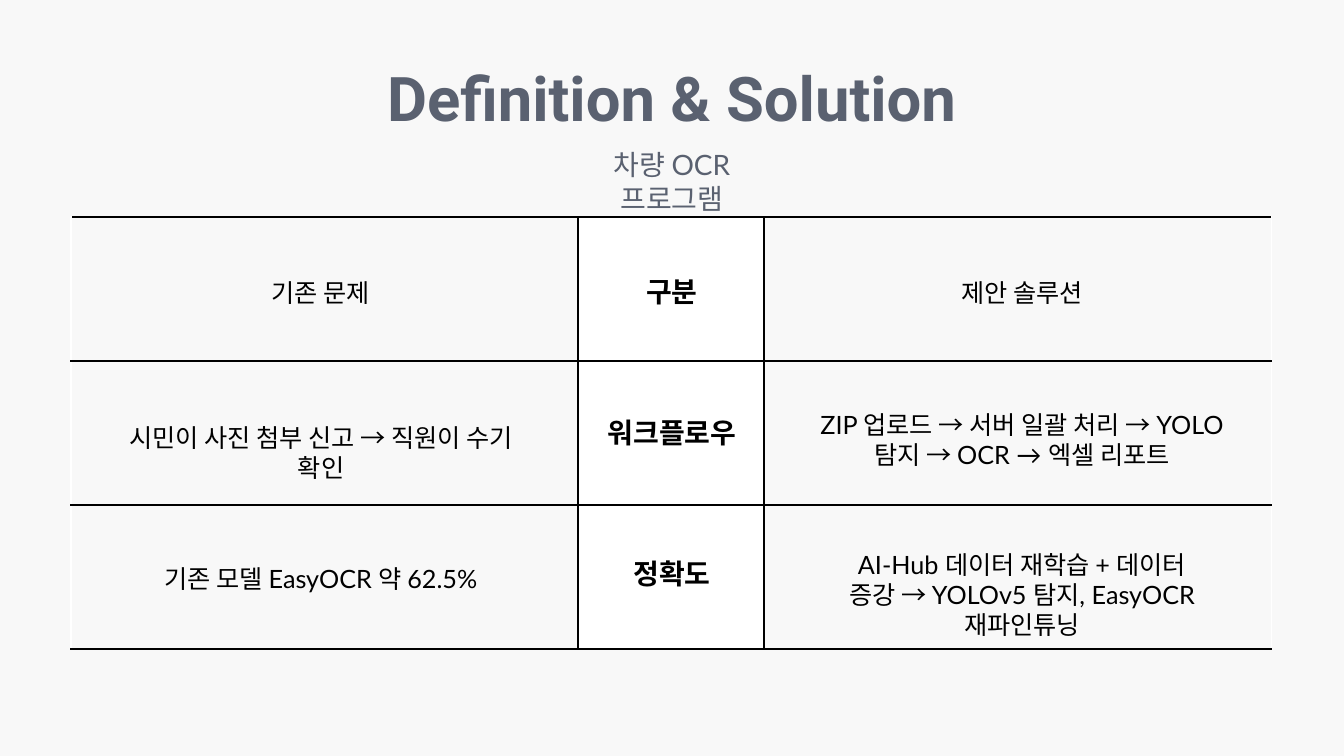
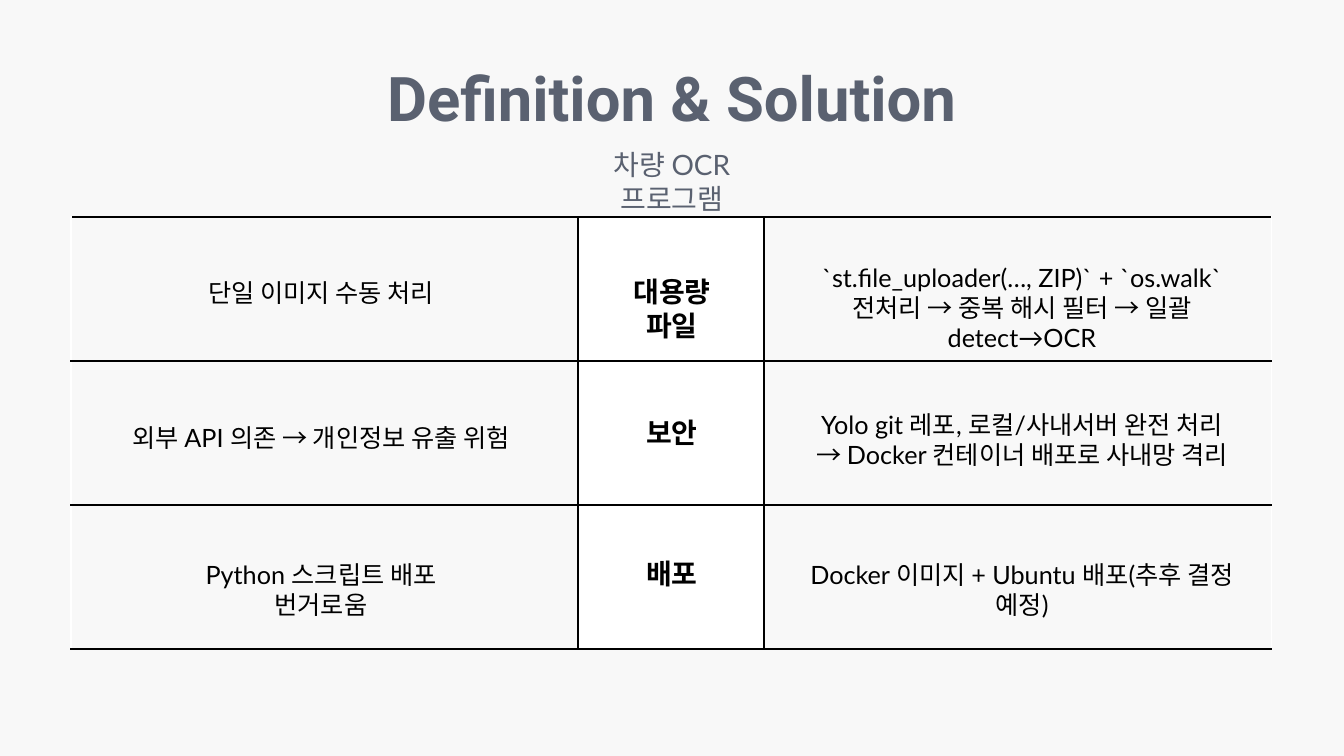
"""Build two slides that set existing problems against proposed solutions."""
from lxml import etree
from pptx import Presentation
from pptx import util as u
from pptx.dml.color import RGBColor
from pptx.enum import text
from pptx.oxml.ns import qn

TITLE = "Definition & Solution"
SUBTITLE = "차량 OCR 프로그램"

# Each row: problem, label, solution; each entry: wording, width, top, planned lines.
SLIDES = [
    [
        (("기존 문제", 413, 272, 1), "구분", ("제안 솔루션", 413, 272, 1)),
        (("시민이 사진 첨부 신고 → 직원이 수기 확인", 413, 417, 1), "워크플로우",
         ("ZIP 업로드 → 서버 일괄 처리 → YOLO 탐지 → OCR → 엑셀 리포트", 433, 404, 2)),
        (("기존 모델 EasyOCR 약 62.5%", 347, 558, 1), "정확도",
         ("AI-Hub 데이터 재학습 + 데이터 증강 → YOLOv5 탐지, EasyOCR 재파인튜닝", 385, 544, 2)),
    ],
    [
        (("단일 이미지 수동 처리", 413, 272, 1), "대용량 파일",
         ("`st.file_uploader(…, ZIP)` + `os.walk` 전처리 → 중복 해시 필터 → 일괄 detect→OCR",
          478, 257, 2)),
        (("외부 API 의존 → 개인정보 유출 위험", 413, 417, 1), "보안",
         ("Yolo git 레포, 로컬/사내서버 완전 처리 → Docker 컨테이너 배포로 사내망 격리",
          433, 404, 2)),
        (("Python 스크립트 배포 번거로움", 347, 554, 1), "배포",
         ("Docker 이미지 + Ubuntu 배포(추후 결정 예정)", 444, 554, 1)),
    ],
]

SCALE = 914400 / 100.8
SLIDE_SIZE = (1344, 756)
LEFT_CENTER, MIDDLE, RIGHT_CENTER = 321, 672, 1022
TABLE_LEFT, TABLE_TOP, ROW_HEIGHT = 71, 217, 144
COLUMN_WIDTHS = (507, 186, 508)
LABEL_WIDTHS = (137, 159, 114)
LABEL_TOP, LABEL_STEP, LABEL_HEIGHT = 270, 141, 44
NOTE_PADDING, LINE_HEIGHT = 9, 31

PAPER = RGBColor(0xF8, 0xF8, 0xF8)
SLATE = RGBColor(0x5A, 0x61, 0x70)
BLACK = RGBColor(0, 0, 0)
WHITE = RGBColor(0xFF, 0xFF, 0xFF)
SIDES = ("lnL", "lnR", "lnT", "lnB")
COLUMN_BORDERS = (
    (WHITE, BLACK, BLACK, BLACK),
    (BLACK, BLACK, BLACK, BLACK),
    (BLACK, WHITE, BLACK, BLACK),
)


def px(length):
    return u.Emu(round(length * SCALE))


def add_text(slide, wording, center, top, width, height, size, font="Lato",
             color=BLACK, bold=False):
    box = slide.shapes.add_textbox(px(center - width / 2), px(top), px(width), px(height))
    frame = box.text_frame
    frame.word_wrap = True
    frame.auto_size = text.MSO_AUTO_SIZE.SHAPE_TO_FIT_TEXT
    frame.text = wording
    para = frame.paragraphs[0]
    para.alignment = text.PP_ALIGN.CENTER
    span = para.runs[0]
    span.font.name = font
    span.font.size = u.Pt(size)
    span.font.bold = bold
    span.font.color.rgb = color


def set_borders(cell, colors):
    properties = cell._tc.get_or_add_tcPr()
    for side, color in zip(SIDES, colors):
        line = etree.SubElement(properties, qn(f"a:{side}"), w=str(u.Pt(1)))
        fill = etree.SubElement(line, qn("a:solidFill"))
        etree.SubElement(fill, qn("a:srgbClr"), val=str(color))


def add_grid(slide, row_count):
    table = slide.shapes.add_table(
        row_count, len(COLUMN_WIDTHS), px(TABLE_LEFT), px(TABLE_TOP),
        px(sum(COLUMN_WIDTHS)), px(row_count * ROW_HEIGHT)).table
    table.first_row = False
    table.horz_banding = False
    for row in table.rows:
        row.height = px(ROW_HEIGHT)
    for index, (width, colors) in enumerate(zip(COLUMN_WIDTHS, COLUMN_BORDERS)):
        table.columns[index].width = px(width)
        for row in table.rows:
            cell = row.cells[index]
            set_borders(cell, colors)
            if index == 1:
                cell.fill.solid()
                cell.fill.fore_color.rgb = WHITE
            else:
                cell.fill.background()


def add_slide(deck, rows):
    slide = deck.slides.add_slide(deck.slide_layouts[6])
    slide.background.fill.solid()
    slide.background.fill.fore_color.rgb = PAPER
    add_text(slide, TITLE, MIDDLE, 55, 740, 85, 44, "Roboto", SLATE, True)
    add_grid(slide, len(rows))
    add_text(slide, SUBTITLE, MIDDLE, 143, 237, 44, 20, color=SLATE)
    for index, (problem, label, solution) in enumerate(rows):
        add_text(slide, label, MIDDLE, LABEL_TOP + index * LABEL_STEP,
                 LABEL_WIDTHS[index], LABEL_HEIGHT, 20, "Roboto", bold=True)
        for center, note in ((LEFT_CENTER, problem), (RIGHT_CENTER, solution)):
            wording, width, top, lines = note
            add_text(slide, wording, center, top, width,
                     NOTE_PADDING + lines * LINE_HEIGHT, 18)


def main():
    deck = Presentation()
    deck.slide_width, deck.slide_height = map(px, SLIDE_SIZE)
    for rows in SLIDES:
        add_slide(deck, rows)
    deck.save("out.pptx")


if __name__ == "__main__":
    main()
